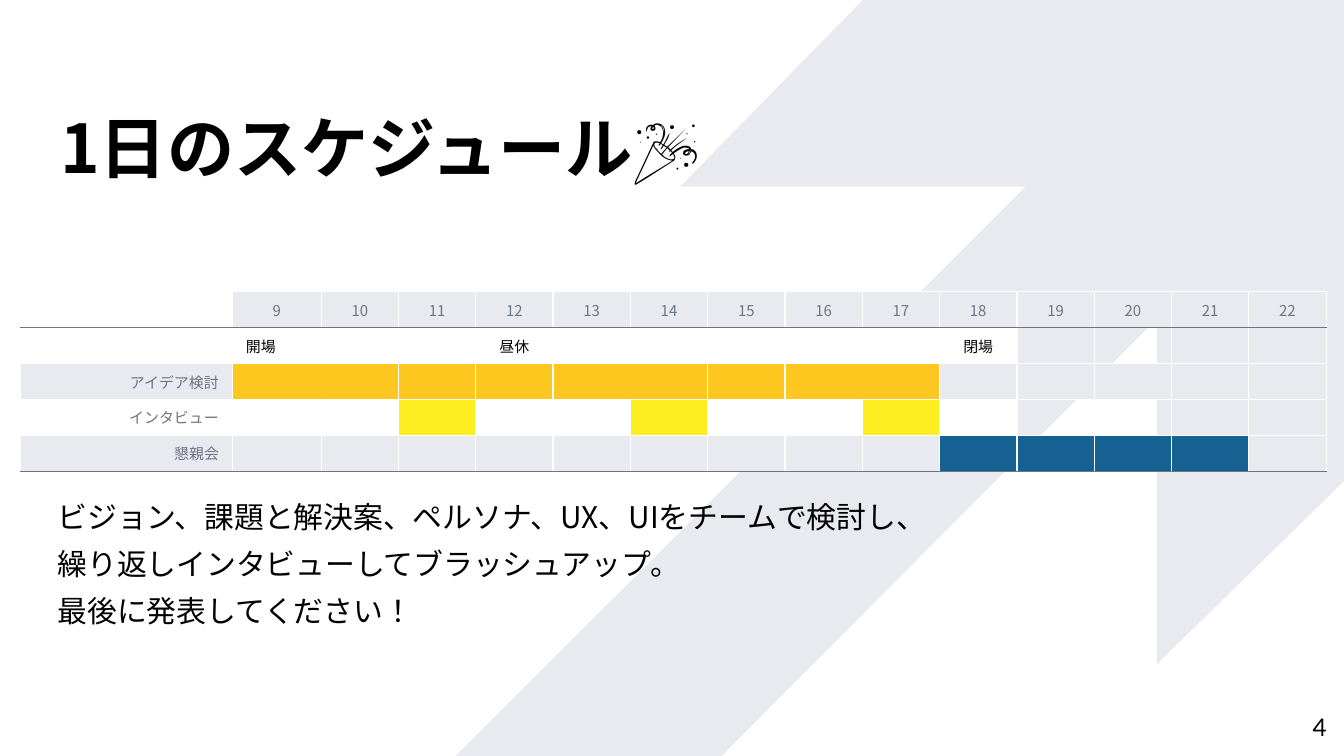
"""Build the one-day schedule slide with its hour-by-hour table."""
from lxml.etree import SubElement
from pptx import Presentation
from pptx.dml.color import RGBColor as Rgb
from pptx.enum.lang import MSO_LANGUAGE_ID as Lang
from pptx.enum.text import MSO_ANCHOR as Anchor, PP_ALIGN as Align
from pptx.oxml.ns import qn
from pptx.util import Inches, Pt

HUES = {"ink": "000000", "slate": "6C7583", "w": "FFFFFF", "g": "E9E9F0",
        "o": "FFC821", "y": "FCEE21", "b": "156191"}
SANS = "Noto Sans CJK JP"
WIDE = 10
HIGH = WIDE * 9 / 16

TITLE = "1日のスケジュール🎉"
BODY = ["ビジョン、課題と解決案、ペルソナ、UX、UIをチームで検討し、",
        "繰り返しインタビューしてブラッシュアップ。",
        "最後に発表してください！"]
PAGE = "4"
HOURS = range(9, 23)
EVENTS = {9: ("開場", Align.LEFT), 12: ("昼休", Align.CENTER), 18: ("閉場", Align.CENTER)}
TASKS = ["アイデア検討", "インタビュー", "懇親会"]
FILLS = [".gggggggggggggg",
         ".wwwwwwwwww....",
         "goooooooooggggg",
         "...yw.ywwyw....",
         "ggggggggggbbbbg"]
SPANS = [(9, 10), (13, 14), (16, 17)]
ARROW = [(6.42, 0), (5.06, 1.39), (7.63, 1.39), (3.39, HIGH), (5.37, HIGH),
         (8.61, 2.37), (8.61, 4.94), (WIDE, 3.58), (WIDE, 0)]


def hue(key):
    return Rgb.from_string(HUES[key])


def write(para, text, size=8, color="ink", font=SANS, bold=False, align=Align.LEFT):
    para.alignment = align
    run = para.add_run()
    run.text = text
    run.font.size, run.font.bold, run.font.name = Pt(size), bold, font
    run.font.language_id = Lang.JAPANESE
    run.font.color.rgb = hue(color)
    SubElement(run.font._element, qn("a:ea"), typeface=font)


def add_box(slide, left, top, width, height, inset, anchor):
    frame = slide.shapes.add_textbox(*map(Inches, (left, top, width, height))).text_frame
    frame.word_wrap, frame.vertical_anchor = True, anchor
    frame.margin_left = frame.margin_right = Inches(inset)
    frame.margin_top = frame.margin_bottom = Inches(inset)
    return frame


def style(cell, row, key):
    cell.vertical_anchor = Anchor.MIDDLE
    dark = {"T": row == 1, "B": row in (0, len(FILLS) - 1)}
    props = cell._tc.get_or_add_tcPr()
    for side in "LRTB":
        line = SubElement(props, qn(f"a:ln{side}"), w=str(Pt(0.75)))
        solid = SubElement(line, qn("a:solidFill"))
        SubElement(solid, qn("a:srgbClr"), val=HUES["slate" if dark.get(side) else "w"])
    if key == ".":
        cell.fill.background()
    else:
        cell.fill.solid()
        cell.fill.fore_color.rgb = hue(key)


def label(row, col):
    if col == 0:
        return (TASKS[row - 2], "slate", Align.RIGHT) if row > 1 else None
    hour = HOURS[col - 1]
    if row == 0:
        return str(hour), "slate", Align.CENTER
    if row == 1 and hour in EVENTS:
        text, align = EVENTS[hour]
        return text, "ink", align
    return None


def add_plan(slide):
    left, top, width, height = 0.15, 2.17, 9.72, 1.17
    rows, cols = len(FILLS), len(HOURS) + 1
    first = [1.58, 0.66]
    rest = (width - sum(first)) / (cols - len(first))
    plan = slide.shapes.add_table(rows, cols, *map(Inches, (left, top, width, height))).table
    plan.first_row = plan.horz_banding = False
    for col, size in zip(plan.columns, first + [rest] * (cols - len(first))):
        col.width = Inches(size)
    for r, keys in enumerate(FILLS):
        for c, key in enumerate(keys):
            cell = plan.cell(r, c)
            style(cell, r, key)
            para = cell.text_frame.paragraphs[0]
            found = label(r, c)
            if found:
                text, color, align = found
                write(para, text, color=color, align=align)
            else:
                SubElement(para._p, qn("a:endParaRPr"), sz="1000")
    for start, end in SPANS:
        a, b = (HOURS.index(hour) + 1 for hour in (start, end))
        plan.cell(2, a).merge(plan.cell(2, b))


def main():
    deck = Presentation()
    deck.slide_width, deck.slide_height = Inches(WIDE), Inches(HIGH)
    slide = deck.slides.add_slide(deck.slide_layouts[6])

    start, *rest = [(Inches(x), Inches(y)) for x, y in ARROW]
    pen = slide.shapes.build_freeform(*start)
    pen.add_line_segments(rest, close=True)
    arrow = pen.convert_to_shape()
    arrow.shadow.inherit = False
    arrow.fill.solid()
    arrow.fill.fore_color.rgb = hue("g")
    arrow.line.fill.background()

    page = add_box(slide, 9.27, 5.19, 0.6, 0.43, 0, Anchor.MIDDLE)
    write(page.paragraphs[0], PAGE, size=13, font="Lato", align=Align.RIGHT)
    title = add_box(slide, 0.35, 0.95, 8.49, 0.54, 0.1, Anchor.BOTTOM)
    write(title.paragraphs[0], TITLE, size=36, bold=True)
    add_plan(slide)

    body = add_box(slide, 0.25, 3.61, 8.49, 1.17, 0.1, Anchor.TOP)
    for i, text in enumerate(BODY):
        para = body.add_paragraph() if i else body.paragraphs[0]
        para._p.get_or_add_pPr().set("marL", str(Inches(0.08)))
        if i:
            para.space_before = Pt(6)
        write(para, text, size=16)
    deck.save("out.pptx")


if __name__ == "__main__":
    main()
